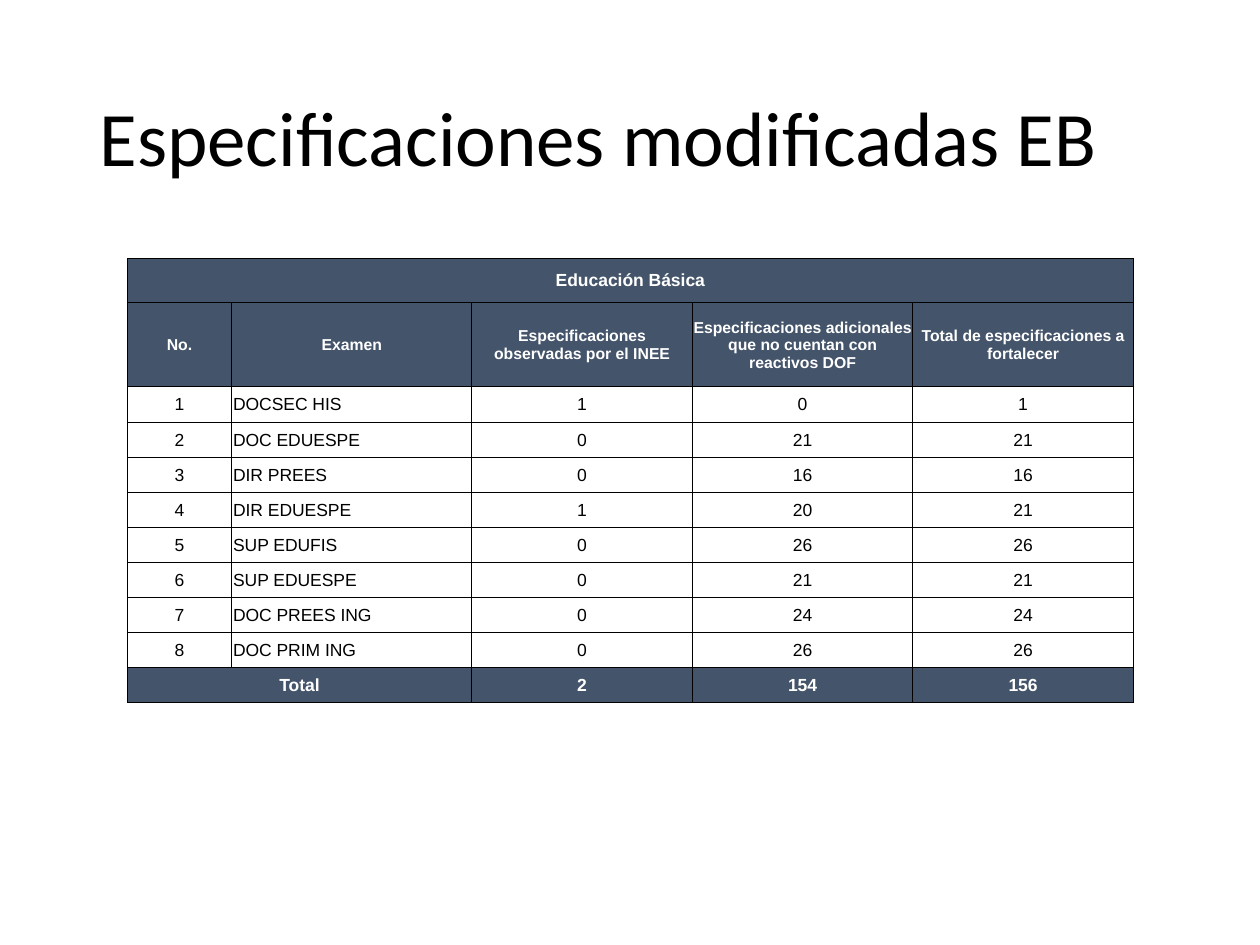
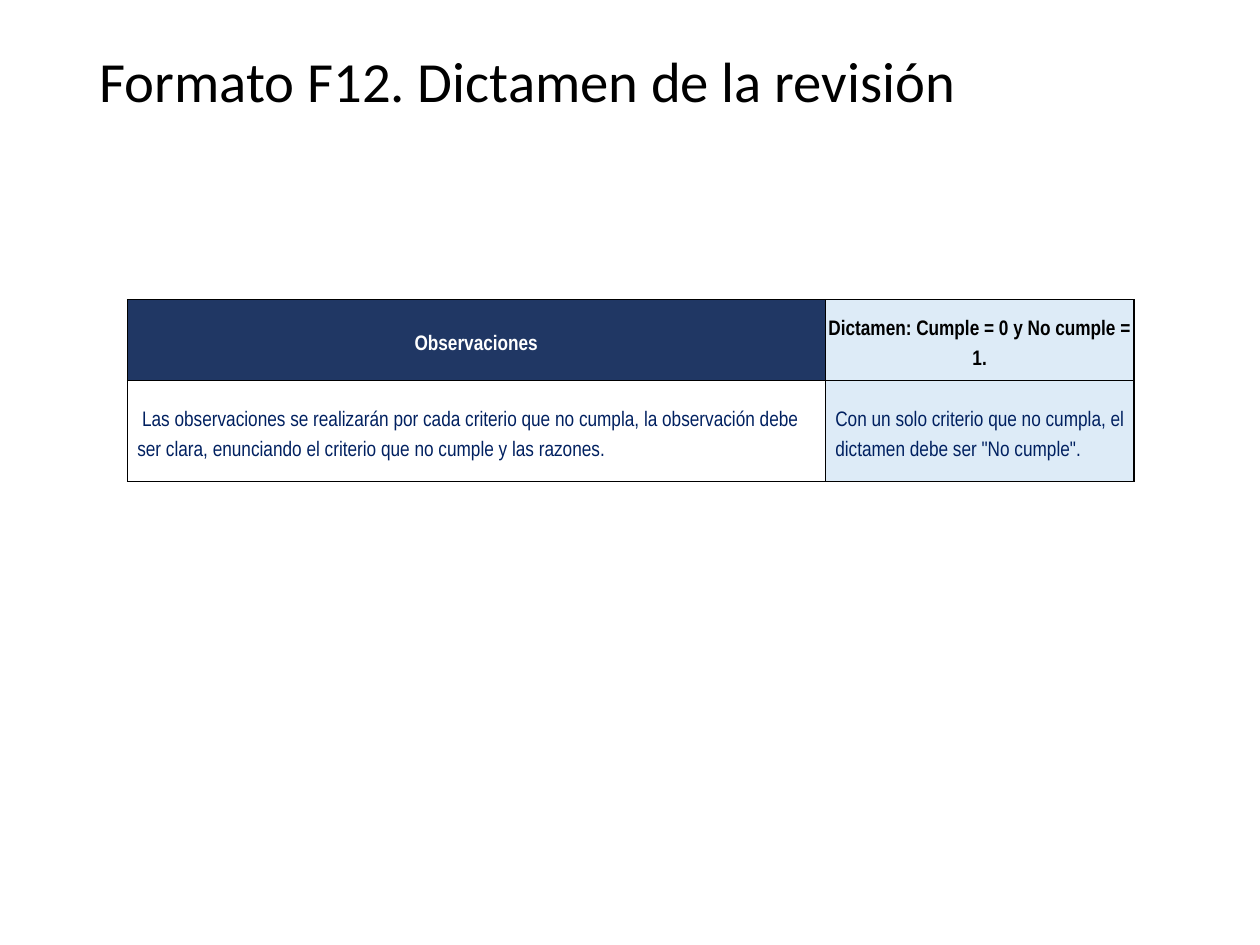
from lxml import etree
from pptx import Presentation
from pptx import util as u
from pptx.dml.color import RGBColor
from pptx.enum import text as t
from pptx.oxml.ns import qn

BLACK = RGBColor(0x00, 0x00, 0x00)
WHITE = RGBColor(0xFF, 0xFF, 0xFF)
SLATE = RGBColor(0x44, 0x54, 0x6A)
NAVY = RGBColor(0x20, 0x37, 0x64)
INK = RGBColor(0x00, 0x20, 0x60)
PALE = RGBColor(0xDD, 0xEB, 0xF7)

LEFT, CENTER = t.PP_ALIGN.LEFT, t.PP_ALIGN.CENTER
JUSTIFY = t.PP_ALIGN.JUSTIFY

# Grid: a tenth of an inch in both directions
COLUMNS, ROWS = 100, 75
TABLE_LEFT = 10.1


def write(frame, words, font="Arial", size=10, color=BLACK, bold=False,
          align=CENTER, spacing=1.0, indent=0):
    """Fill a text frame with one formatted paragraph."""
    frame.text = words
    frame.word_wrap = True
    paragraph = frame.paragraphs[0]
    paragraph.alignment = align
    paragraph.line_spacing = spacing
    if indent:
        properties = paragraph._p.get_or_add_pPr()
        properties.set("marL", str(u.Inches(indent)))
        properties.set("indent", "0")
    for run in paragraph.runs:
        run.font.name = font
        run.font.size = u.Pt(size)
        run.font.bold = bold
        run.font.color.rgb = color


class Deck:
    """Holds the shared style and the current slide."""

    title_font = "Calibri"
    border = 0.5

    def __init__(self):
        self.show = Presentation()
        self.show.slide_width = u.Inches(10)
        self.show.slide_height = u.Inches(7.5)
        self.slide = None

    def across(self, columns):
        return round(self.show.slide_width * columns / COLUMNS)

    def down(self, rows):
        return round(self.show.slide_height * rows / ROWS)

    def titled_slide(self, words, top, height, size, lift=0):
        """Start a slide; lift raises the title inside its placeholder."""
        self.slide = self.show.slides.add_slide(self.show.slide_layouts[5])
        title = self.slide.shapes.title
        title.left, title.width = self.across(6.9), self.across(86.2)
        title.top, title.height = self.down(top), self.down(height)
        frame = title.text_frame
        write(frame, words, font=self.title_font, size=size, align=LEFT,
              spacing=0.9)
        frame.auto_size = t.MSO_AUTO_SIZE.NONE
        frame.vertical_anchor = t.MSO_ANCHOR.MIDDLE
        frame.margin_left = frame.margin_right = u.Inches(0.1)
        frame.margin_top, frame.margin_bottom = 0, self.down(lift)

    def table(self, top, widths, heights):
        table = self.slide.shapes.add_table(
            len(heights), len(widths), self.across(TABLE_LEFT), self.down(top),
            self.across(sum(widths)), self.down(sum(heights))).table
        table.first_row = table.horz_banding = False
        for column, width in zip(table.columns, widths):
            column.width = self.across(width)
        for row, height in zip(table.rows, heights):
            row.height = self.down(height)
        return table

    def cell(self, cell, words, fill=None, margin=0, right=border, **style):
        """Format one cell; words of None leave it to a merge."""
        if words is not None:
            write(cell.text_frame, str(words), **style)
        cell.vertical_anchor = t.MSO_ANCHOR.MIDDLE
        cell.margin_left = cell.margin_right = cell.margin_top = u.Inches(margin)
        cell.margin_bottom = 0
        if fill is None:
            cell.fill.background()
        else:
            cell.fill.solid()
            cell.fill.fore_color.rgb = fill
        # Borders come before the fill in the cell properties
        widths = {"L": self.border, "R": right, "T": self.border, "B": self.border}
        for place, (side, points) in enumerate(widths.items()):
            line = etree.Element(qn(f"a:ln{side}"), w=str(u.Pt(points)))
            paint = etree.SubElement(line, qn("a:solidFill"))
            etree.SubElement(paint, qn("a:srgbClr"), val=str(BLACK))
            cell._tc.get_or_add_tcPr().insert(place, line)


def modified_specifications(deck):
    deck.titled_slide("Especificaciones modificadas EB", top=4, height=14.5, size=44)

    # Exam, observed specifications, additional specifications
    exams = [
        ("DOCSEC HIS", 1, 0),
        ("DOC EDUESPE", 0, 21),
        ("DIR PREES", 0, 16),
        ("DIR EDUESPE", 1, 20),
        ("SUP EDUFIS", 0, 26),
        ("SUP EDUESPE", 0, 21),
        ("DOC PREES ING", 0, 24),
        ("DOC PRIM ING", 0, 26),
    ]
    observed = sum(exam[1] for exam in exams)
    additional = sum(exam[2] for exam in exams)
    rows = [
        ("Educación Básica", None, None, None, None),
        ("No.", "Examen", "Especificaciones observadas por el INEE",
         "Especificaciones adicionales que no cuentan con reactivos DOF",
         "Total de especificaciones a fortalecer"),
        *[(number, name, seen, added, seen + added)
          for number, (name, seen, added) in enumerate(exams, 1)],
        ("Total", None, observed, additional, observed + additional),
    ]
    last = len(rows) - 1
    summary = deck.table(top=20.5, widths=[8.3, 19.05, 17.5, 17.5, 17.5],
                         heights=[3.5, 6.7] + [2.79] * (last - 1))
    for r, row in enumerate(rows):
        banded = r in (0, 1, last)
        for c, words in enumerate(row):
            deck.cell(summary.cell(r, c), words, margin=0.01,
                      fill=SLATE if banded else None,
                      color=WHITE if banded else BLACK, bold=banded,
                      size=9 if r == 1 else 10,
                      align=JUSTIFY if c == 1 and not banded else CENTER)
    summary.cell(0, 0).merge(summary.cell(0, 4))
    summary.cell(last, 0).merge(summary.cell(last, 1))


def review_verdict(deck):
    deck.titled_slide("Formato F12. Dictamen de la revisión", top=5.6, height=7.8,
                      size=32.4, lift=5.6)

    verdict = deck.table(top=23.8, widths=[55.4, 24.5], heights=[6.4, 8])
    heading = dict(bold=True)
    body = dict(color=INK, align=LEFT, indent=0.08)
    shaded = dict(fill=PALE, right=1)
    cells = [
        (0, 0, "Observaciones", dict(heading, fill=NAVY, color=WHITE)),
        (0, 1, "Dictamen: Cumple = 0 y No cumple = 1.", heading | shaded),
        (1, 0, " Las observaciones se realizarán por cada criterio que no cumpla, "
               "la observación debe ser clara, enunciando el criterio que no cumple "
               "y las razones.", body),
        (1, 1, "Con un solo criterio que no cumpla, el dictamen debe ser "
               "\"No cumple\".", body | shaded),
    ]
    for r, c, words, style in cells:
        deck.cell(verdict.cell(r, c), words, font="Arial Narrow", size=12,
                  spacing=1.5, **style)


def main():
    deck = Deck()
    modified_specifications(deck)
    review_verdict(deck)
    deck.show.save("out.pptx")


if __name__ == "__main__":
    main()
